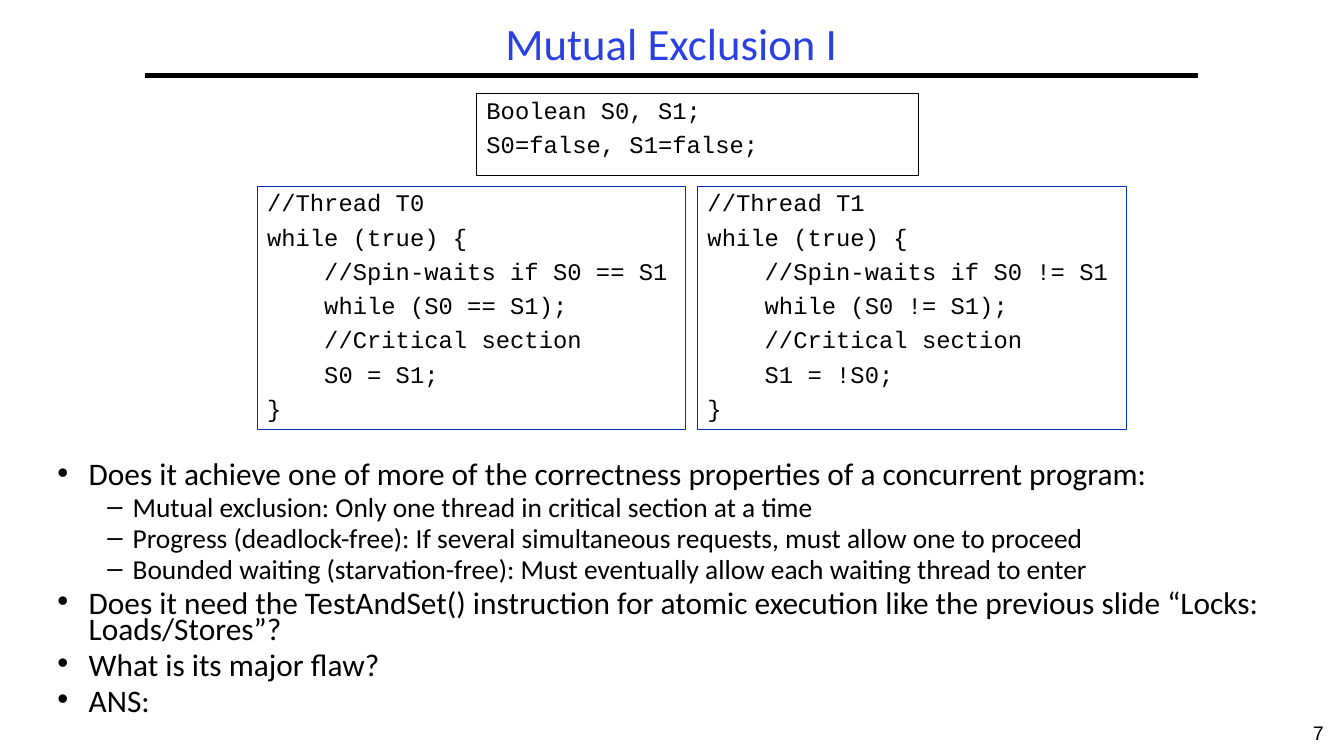
from lxml import etree
from pptx import Presentation
from pptx.dml.color import RGBColor
from pptx.enum.shapes import MSO_CONNECTOR, MSO_SHAPE
from pptx.enum.text import MSO_ANCHOR, MSO_AUTO_SIZE, PP_ALIGN
from pptx.oxml.ns import qn
from pptx.util import Cm, Pt

STRAIGHT = MSO_CONNECTOR.STRAIGHT
RECTANGLE = MSO_SHAPE.RECTANGLE
TOP, MIDDLE = MSO_ANCHOR.TOP, MSO_ANCHOR.MIDDLE
LEFT, CENTER = PP_ALIGN.LEFT, PP_ALIGN.CENTER
NO_FIT = MSO_AUTO_SIZE.NONE

BLACK, TITLE_BLUE, BORDER_BLUE = "000000", "2A40E2", "0234AD"

# Bullet, left margin, hanging indent (cm), text size and space before (pt)
LEVELS = [("•", 0.79, 0.79, 22.4, 6.7), ("–", 1.9, 0.64, 19.6, 5.7)]


def color(value):
    return RGBColor.from_string(value)


class SlideBuilder:
    text_font, code_font, number_font = "Calibri", "Courier New", "Arial"
    code_size = 17

    def __init__(self, page):
        self.page = page

    def place(self, box, left, top, width, height):
        box.left, box.top = Cm(left), Cm(top)
        box.width, box.height = Cm(width), Cm(height)

    def prepare(self, frame, anchor=TOP):
        frame.word_wrap = True
        frame.auto_size = NO_FIT
        frame.vertical_anchor = anchor

    def format(self, para, font, size, ink=BLACK, align=LEFT, spacing=1.0, before=0):
        para.alignment = align
        para.line_spacing = spacing
        para.space_before = Pt(before)
        para.space_after = Pt(0)
        for span in para.runs:
            span.font.name = font
            span.font.size = Pt(size)
            span.font.color.rgb = color(ink)

    def title(self, text, *area):
        box = self.page.shapes.title
        self.place(box, *area)
        frame = box.text_frame
        frame.text = text
        self.prepare(frame, MIDDLE)
        self.format(frame.paragraphs[0], self.text_font, 32, TITLE_BLUE, CENTER, 0.9)

    def rule(self, left, right, top):
        line = self.page.shapes.add_connector(
            STRAIGHT, Cm(left), Cm(top), Cm(right), Cm(top))
        line.line.color.rgb = color(BLACK)
        line.line.width = Pt(3)
        etree.SubElement(line._element.spPr, qn("a:effectLst"))

    def bullets(self, items, *area):
        box = self.page.placeholders[1]
        self.place(box, *area)
        frame = box.text_frame
        frame.text = "\n".join(text for level, text in items)
        self.prepare(frame)
        for index, (para, (level, text)) in enumerate(zip(frame.paragraphs, items)):
            mark, margin, hanging, size, before = LEVELS[level]
            para.level = level
            properties = para._p.get_or_add_pPr()
            properties.set("marL", str(Cm(margin)))
            properties.set("indent", str(-Cm(hanging)))
            etree.SubElement(properties, qn("a:buChar")).set("char", mark)
            self.format(para, self.text_font, size, spacing=0.7,
                        before=before if index else 0)

    def code(self, text, border, *area):
        box = self.page.shapes.add_shape(RECTANGLE, *map(Cm, area))
        box.shadow.inherit = False
        box.fill.background()
        box.line.color.rgb = color(border)
        box.line.width = Pt(0.75)
        frame = box.text_frame
        frame.text = text
        self.prepare(frame)
        for index, para in enumerate(frame.paragraphs):
            self.format(para, self.code_font, self.code_size, spacing=0.9,
                        before=6.1 if index else 0)

    def page_number(self, text, *area):
        box = self.page.shapes.add_textbox(*map(Cm, area))
        frame = box.text_frame
        frame.text = text
        self.prepare(frame)
        self.format(frame.paragraphs[0], self.number_font, 14, align=CENTER)


DECLARATIONS = "Boolean S0, S1;\nS0=false, S1=false;"

THREAD = """//Thread {name}
while (true) {{
    //Spin-waits if S0 {test} S1
    while (S0 {test} S1);
    //Critical section
    {update}
}}"""

THREADS = [("T0", "==", "S0 = S1;"), ("T1", "!=", "S1 = !S0;")]

QUESTIONS = [
    (0, "Does it achieve one of more of the correctness properties of a concurrent program:"),
    (1, "Mutual exclusion: Only one thread in critical section at a time"),
    (1, "Progress (deadlock-free): If several simultaneous requests, must allow one to proceed"),
    (1, "Bounded waiting (starvation-free): Must eventually allow each waiting thread to enter"),
    (0, "Does it need the TestAndSet() instruction for atomic execution like the previous "
        "slide “Locks: Loads/Stores”?"),
    (0, "What is its major flaw?"),
    (0, "ANS:"),
]


def main():
    deck = Presentation()
    deck.slide_width, deck.slide_height = Cm(33.87), Cm(19.05)
    builder = SlideBuilder(deck.slides.add_slide(deck.slide_layouts[1]))

    # Heading
    builder.rule(3.66, 30.2, 1.9)
    builder.title("Mutual Exclusion I", 3.66, 0.43, 26.52, 1.47)

    # Questions
    builder.bullets(QUESTIONS, 1.19, 11.58, 31.47, 7.01)

    # Code: one box per thread, shared variables above
    for column, (name, test, update) in enumerate(THREADS):
        builder.code(THREAD.format(name=name, test=test, update=update), BORDER_BLUE,
                     6.48 + 11.1 * column, 4.7, 10.8, 6.12)
    builder.code(DECLARATIONS, BLACK, 12.01, 2.36, 11.13, 2.06)

    # Page number
    builder.page_number("7", 32.59, 18.03, 1.27, 1.02)

    deck.save("out.pptx")


if __name__ == "__main__":
    main()
